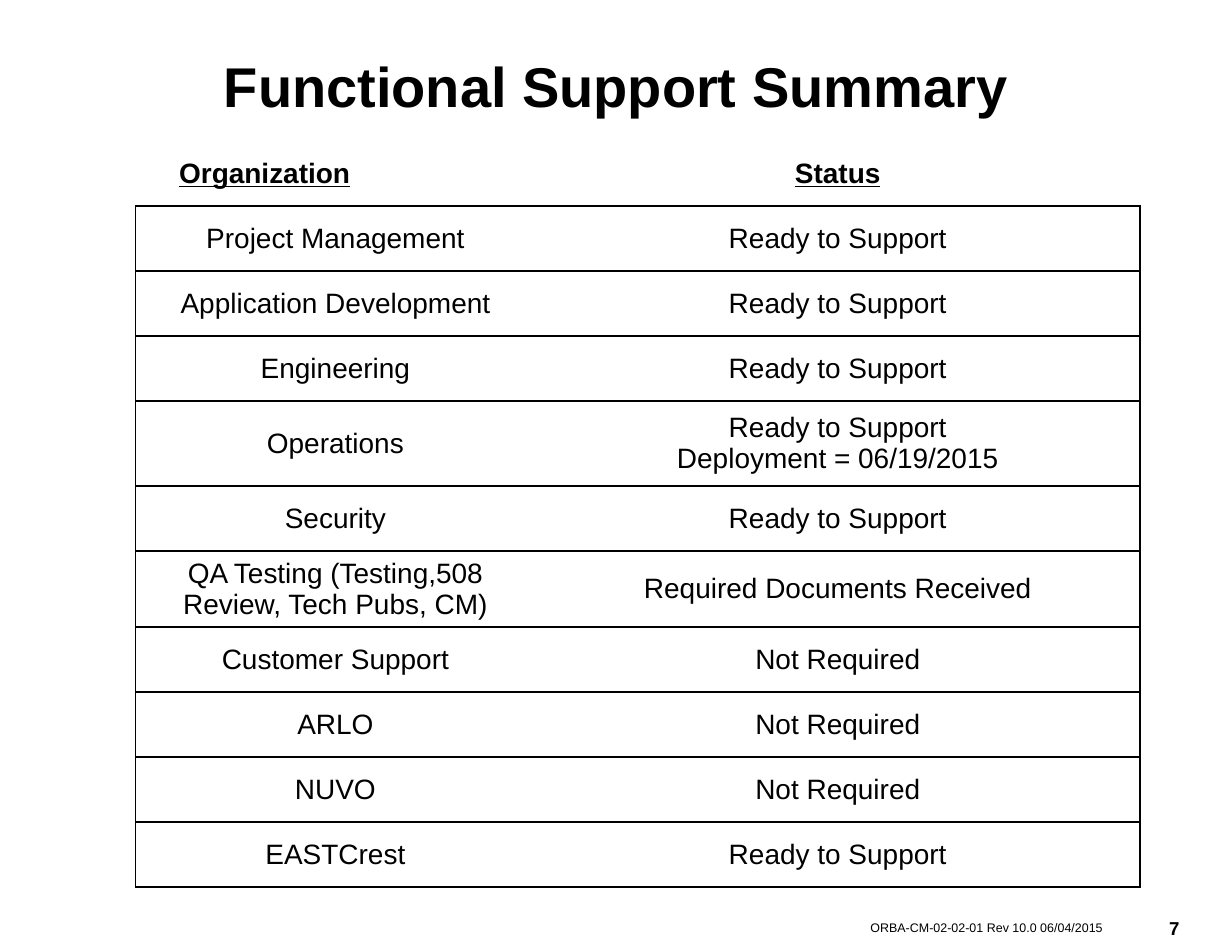
from typing import NamedTuple

from lxml.etree import SubElement
from pptx import Presentation
from pptx.dml.color import RGBColor
from pptx.enum.text import MSO_ANCHOR as Anchor, PP_ALIGN as Align
from pptx.oxml import parse_xml
from pptx.oxml.ns import nsdecls, qn
from pptx.util import Inches, Pt

BLACK = RGBColor(0, 0, 0)
FONT = "Arial"
MARGIN_X, MARGIN_Y = Inches(0.11), Inches(0.06)
NO_STYLE_NO_GRID = "{2D5ABB26-0587-4C30-8999-92F81FD0307C}"
COLUMN_WIDTHS = (3.57, 5.4)
HEADER_HEIGHT = 0.58
READY, NOT_REQUIRED = "Ready to Support", "Not Required"


class Support(NamedTuple):
    organization: str
    status: str
    height: float = 0.58


class Label(NamedTuple):
    text: str
    left: float
    top: float
    width: float
    height: float
    size: int
    bold: bool = True
    align: Align = Align.CENTER


SUPPORTS = (
    Support("Project Management", READY),
    Support("Application Development", READY),
    Support("Engineering", READY),
    Support("Operations", READY + "\nDeployment = 06/19/2015", 0.76),
    Support("Security", READY),
    Support("QA Testing (Testing,508 Review, Tech Pubs, CM)",
            "Required Documents Received", 0.68),
    Support("Customer Support", NOT_REQUIRED),
    Support("ARLO", NOT_REQUIRED),
    Support("NUVO", NOT_REQUIRED),
    Support("EASTCrest", READY),
)

LABELS = (
    Label("Functional Support Summary", 0, 0.24, 11, 1.04, 36),
    Label("7", 9.97, 8.07, 1.03, 0.43, 12),
    Label("ORBA-CM-02-02-01 Rev 10.0 06/04/2015", 5.28, 8.06, 4.68, 0.44, 8,
          bold=False, align=Align.RIGHT),
)


def write(frame, text: str, *, size: int = 18, bold: bool = False,
          underline: bool = False, align: Align = Align.CENTER) -> None:
    """Fill a text frame with one paragraph for each line of text."""
    for index, line in enumerate(text.split("\n")):
        para = frame.add_paragraph() if index else frame.paragraphs[0]
        para.alignment = align
        span = para.add_run()
        span.text = line
        font = span.font
        font.name, font.size, font.bold = FONT, Pt(size), bold
        font.underline = underline
        font.color.rgb = BLACK


def set_margins(holder) -> None:
    holder.margin_left = holder.margin_right = MARGIN_X
    holder.margin_top = holder.margin_bottom = MARGIN_Y
    holder.vertical_anchor = Anchor.MIDDLE


def add_label(page, label: Label) -> None:
    box = page.shapes.add_textbox(Inches(label.left), Inches(label.top),
                                  Inches(label.width), Inches(label.height))
    frame = box.text_frame
    frame.word_wrap = True
    set_margins(frame)
    write(frame, label.text, size=label.size, bold=label.bold, align=label.align)


def set_borders(cell, sides: str) -> None:
    """Draw black 1 pt lines on the sides, given in the order L, R, T, B."""
    properties = cell._tc.get_or_add_tcPr()
    for index, side in enumerate(sides):
        properties.insert(index, parse_xml(
            f'<a:ln{side} {nsdecls("a")} w="{Pt(1)}"><a:solidFill>'
            f'<a:srgbClr val="{BLACK}"/></a:solidFill></a:ln{side}>'))


def add_underline_tab(cell) -> None:
    """Set the header's left edge and the stop where its underline ends."""
    cell.margin_left = Inches(0.39)
    properties = cell.text_frame.paragraphs[0]._p.get_or_add_pPr()
    stops = SubElement(properties, qn("a:tabLst"))
    SubElement(stops, qn("a:tab"), pos=str(Inches(2.77)), algn="l")


def add_support_table(page) -> None:
    heights = [HEADER_HEIGHT] + [support.height for support in SUPPORTS]
    frame = page.shapes.add_table(len(heights), len(COLUMN_WIDTHS),
                                  Inches(1.21), Inches(1.26),
                                  Inches(sum(COLUMN_WIDTHS)), Inches(sum(heights)))
    table = frame.table
    table.first_row = table.horz_banding = False
    table._tbl.tblPr.find(qn("a:tableStyleId")).text = NO_STYLE_NO_GRID
    for column, width in zip(table.columns, COLUMN_WIDTHS):
        column.width = Inches(width)
    for row, height in zip(table.rows, heights):
        row.height = Inches(height)
    for cell in table.iter_cells():
        set_margins(cell)
        cell.fill.background()

    organization, status = table.rows[0].cells
    write(organization.text_frame, "Organization\t", bold=True, underline=True,
          align=Align.LEFT)
    add_underline_tab(organization)
    write(status.text_frame, "Status", bold=True, underline=True)
    for cell in (organization, status):
        set_borders(cell, "B")

    for index, support in enumerate(SUPPORTS, start=1):
        organization, status = table.rows[index].cells
        write(organization.text_frame, support.organization)
        write(status.text_frame, support.status)
        set_borders(organization, "LTB")
        set_borders(status, "RTB")


def main() -> None:
    deck = Presentation()
    deck.slide_width, deck.slide_height = Inches(11), Inches(8.5)
    page = deck.slides.add_slide(deck.slide_layouts[6])
    add_support_table(page)
    for label in LABELS:
        add_label(page, label)
    deck.save("out.pptx")


if __name__ == "__main__":
    main()
